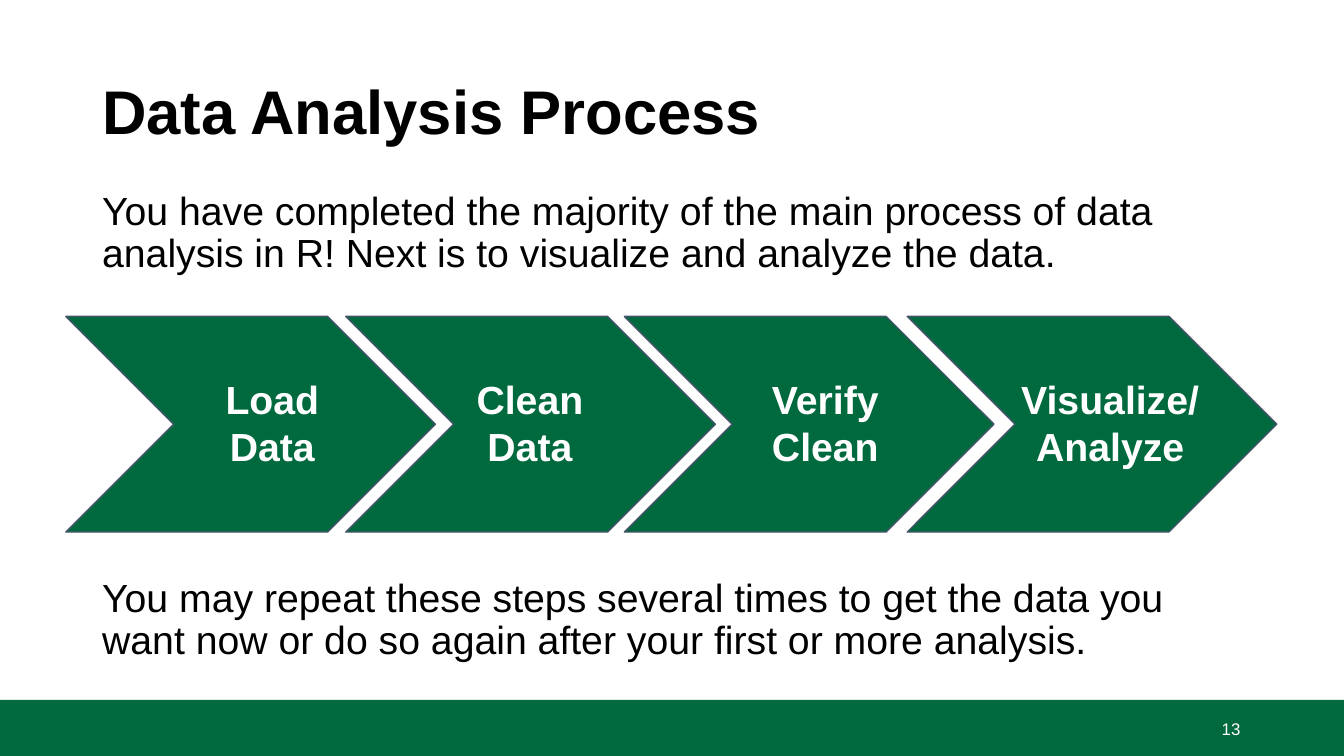
from pptx import Presentation
from pptx.dml.color import RGBColor
from pptx.enum.shapes import MSO_SHAPE
from pptx.enum.text import MSO_ANCHOR, PP_ALIGN
from pptx.util import Pt

EMU_PER_PX = 9525
WIDTH, HEIGHT = 960, 540

GREEN = RGBColor(0x00, 0x69, 0x3E)
SLATE = RGBColor(0x44, 0x54, 0x6A)
BLACK = RGBColor(0x00, 0x00, 0x00)
WHITE = RGBColor(0xFF, 0xFF, 0xFF)

RECTANGLE, CHEVRON = MSO_SHAPE.RECTANGLE, MSO_SHAPE.CHEVRON
LEFT, CENTER, RIGHT = PP_ALIGN.LEFT, PP_ALIGN.CENTER, PP_ALIGN.RIGHT
TOP, MIDDLE = MSO_ANCHOR.TOP, MSO_ANCHOR.MIDDLE

MARGIN, CONTENT_W = 66, 828
CHEVRON_Y, CHEVRON_W, CHEVRON_H = 226, 264, 154
LABEL_Y, LABEL_H = 258, 87

# chevron left, label left, label width, label
STEPS = [
    (47, 126, 137, "Load Data"),
    (247, 310, 137, "Clean Data"),
    (446, 521, 137, "Verify Clean"),
    (648, 716, 154, "Visualize/ Analyze"),
]
# top, text
PARAGRAPHS = [
    (133, "You have completed the majority of the main process of data "
          "analysis in R! Next is to visualize and analyze the data."),
    (409, "You may repeat these steps several times to get the data you "
          "want now or do so again after your first or more analysis."),
]


def px(*lengths):
    return [n * EMU_PER_PX for n in lengths]


class Deck:
    font = "Arial"

    def __init__(self):
        self.prs = Presentation()
        self.prs.slide_width, self.prs.slide_height = px(WIDTH, HEIGHT)
        self.slide = self.prs.slides.add_slide(self.prs.slide_layouts[6])

    def shape(self, kind, x, y, w, h, fill, line=None):
        sp = self.slide.shapes.add_shape(kind, *px(x, y, w, h))
        sp.shadow.inherit = False
        sp.fill.solid()
        sp.fill.fore_color.rgb = fill
        if line is None:
            sp.line.fill.background()
        else:
            sp.line.color.rgb = line
            sp.line.width = Pt(0.75)

    def text(self, text, x, y, w, h, size, color=BLACK, bold=False,
             align=LEFT, anchor=TOP, spacing=1.0, inset=(7, 4)):
        tf = self.slide.shapes.add_textbox(*px(x, y, w, h)).text_frame
        tf.word_wrap = True
        tf.vertical_anchor = anchor
        tf.margin_left, tf.margin_top = px(*inset)
        tf.margin_right, tf.margin_bottom = px(*inset)
        tf.text = text
        p = tf.paragraphs[0]
        p.alignment = align
        p.line_spacing = spacing
        font = p.runs[0].font
        font.name, font.size, font.bold = self.font, Pt(size), bold
        font.color.rgb = color


def main():
    deck = Deck()
    deck.shape(RECTANGLE, 0, 500, WIDTH, 40, GREEN)
    deck.text("Data Analysis Process", MARGIN, 29, CONTENT_W, 105, 33,
              bold=True, anchor=MIDDLE, spacing=0.9)
    for y, text in PARAGRAPHS:
        deck.text(text, MARGIN, y, CONTENT_W, 67, 21, spacing=0.9)

    for x, *_ in STEPS:
        deck.shape(CHEVRON, x, CHEVRON_Y, CHEVRON_W, CHEVRON_H, GREEN, SLATE)
    for _, x, w, label in STEPS:
        deck.text(label, x, LABEL_Y, w, LABEL_H, 21, WHITE, bold=True,
                  align=CENTER, inset=(10, 10))

    deck.text("13", 854, 506, 39, 29, 9, WHITE, align=RIGHT, anchor=MIDDLE)
    deck.prs.save("out.pptx")


if __name__ == "__main__":
    main()
